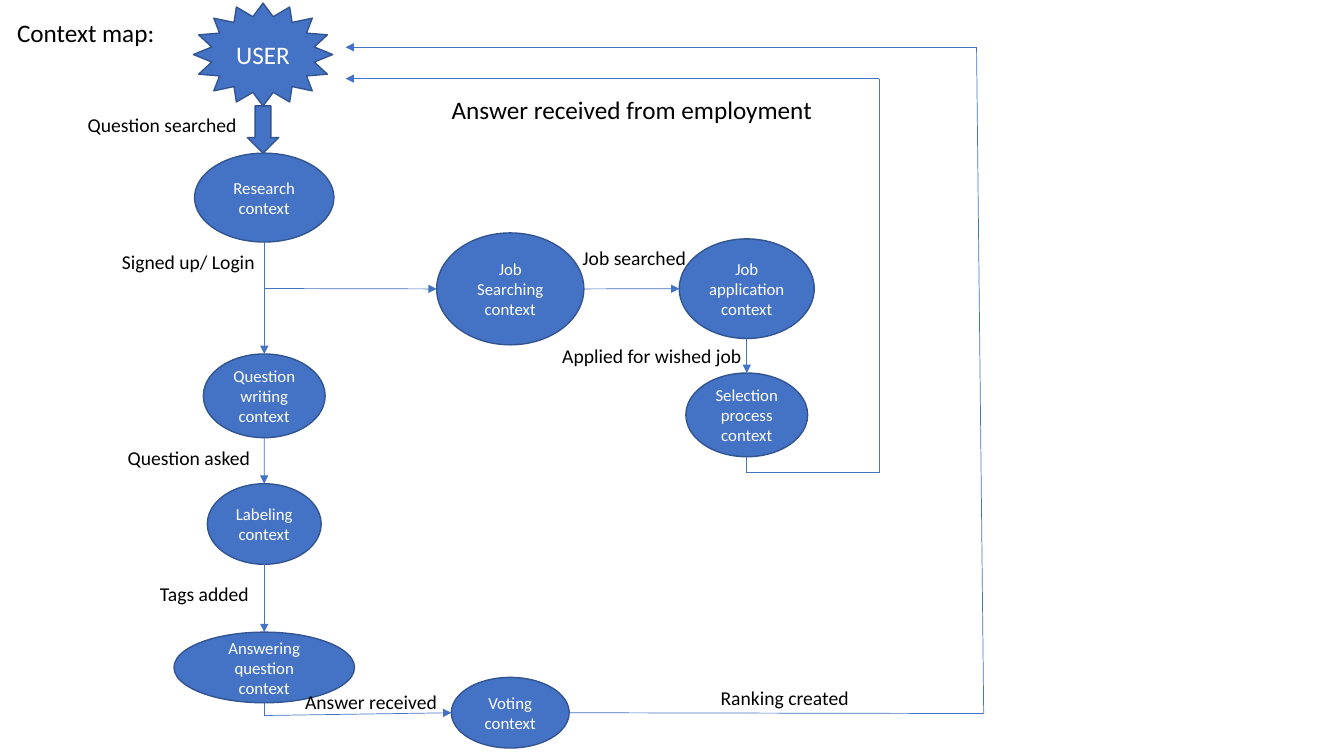
from pptx import Presentation
from pptx.dml.color import RGBColor
from pptx.enum.shapes import MSO_CONNECTOR, MSO_SHAPE
from pptx.enum.text import MSO_ANCHOR, MSO_AUTO_SIZE, PP_ALIGN
from pptx.oxml.ns import qn
from pptx.util import Cm, Pt
from lxml.etree import SubElement

BLUE = RGBColor(0x44, 0x72, 0xC4)
DARK_BLUE = RGBColor(0x32, 0x54, 0x91)
WHITE = RGBColor(0xFF, 0xFF, 0xFF)
BLACK = RGBColor(0x00, 0x00, 0x00)
FONT = "Calibri"

# Content, in centimetres: column centres first
MAIN_X, MIDDLE_X, JOB_X = 6.66, 12.86, 18.82
USER_EDGE = 8.71

# text, centre x, top, width, height
CONTEXTS = {
    "research": ("Research context", MAIN_X, 3.86, 3.51, 2.24),
    "writing": ("Question writing context", MAIN_X, 8.92, 3.07, 2.11),
    "labeling": ("Labeling context", MAIN_X, 12.19, 2.87, 2.03),
    "answering": ("Answering question context", MAIN_X, 15.93, 4.55, 1.78),
    "searching": ("Job Searching context", MIDDLE_X, 5.87, 3.71, 2.82),
    "application": ("Job application context", JOB_X, 6.02, 3.4, 2.51),
    "selection": ("Selection process context", JOB_X, 9.4, 3.07, 2.11),
    "voting": ("Voting context", MIDDLE_X, 17.07, 2.97, 1.78),
}

# Downward arrows between contexts
STEPS = [("research", "writing"), ("writing", "labeling"),
         ("labeling", "answering"), ("application", "selection")]

# Other routes: each stop is a point or a (context, side) pair
ROUTES = [
    [(MAIN_X, 7.27), ("searching", "left")],
    [("searching", "right"), ("application", "left")],
    [("selection", "bottom"), (JOB_X, 11.91), (22.15, 11.91),
     (22.15, 1.98), (USER_EDGE, 1.98)],
    [("answering", "bottom"), (MAIN_X, 18.03), ("voting", "left")],
    [("voting", "right"), (24.79, 17.98), (24.61, 1.19), (USER_EDGE, 1.19)],
]

# text, left, top, width, height, size
LABELS = [
    ("Context map:", 0.18, 0.3, 4.7, 1.02, 18),
    ("Question searched", 1.96, 2.72, 4.7, 0.86, 14),
    ("Signed up/ Login", 2.82, 6.17, 4.7, 0.86, 14),
    ("Question asked", 2.97, 11.1, 5.87, 0.86, 14),
    ("Tags added", 3.78, 14.53, 4.27, 0.86, 14),
    ("Answer received", 7.44, 17.27, 5.13, 0.86, 14),
    ("Ranking created", 17.91, 17.17, 4.27, 0.86, 14),
    ("Job searched", 14.43, 6.07, 4.7, 0.86, 14),
    ("Applied for wished job", 13.92, 8.53, 5.33, 0.86, 14),
    ("Answer received from employment", 11.13, 2.24, 10.13, 1.02, 18),
]

presentation = Presentation()
presentation.slide_width, presentation.slide_height = Cm(33.87), Cm(19.05)
slide = presentation.slides.add_slide(presentation.slide_layouts[6])


def write(paragraph, text, size, color):
    run = paragraph.add_run()
    run.text = text
    run.font.name, run.font.size = FONT, Pt(size)
    run.font.color.rgb = color


def add_blue_shape(kind, center, top, width, height, text="", size=12):
    shape = slide.shapes.add_shape(
        kind, Cm(center - width / 2), Cm(top), Cm(width), Cm(height))
    shape.shadow.inherit = False
    shape.fill.solid()
    shape.fill.fore_color.rgb = BLUE
    shape.line.color.rgb = DARK_BLUE
    shape.line.width = Pt(1)
    if text:
        frame = shape.text_frame
        frame.word_wrap = True
        frame.vertical_anchor = MSO_ANCHOR.MIDDLE
        paragraph = frame.paragraphs[0]
        paragraph.alignment = PP_ALIGN.CENTER
        write(paragraph, text, size, WHITE)
    return shape


def add_line(start, end, arrow):
    line = slide.shapes.add_connector(
        MSO_CONNECTOR.STRAIGHT, *(Cm(value) for value in start + end))
    line.line.color.rgb = BLUE
    line.line.width = Pt(0.5)
    if arrow:
        SubElement(line.line._get_or_add_ln(), qn("a:tailEnd"), type="triangle")
    SubElement(line._element.spPr, qn("a:effectLst"))
    return line


def locate(stop):
    if stop[0] not in CONTEXTS:
        return stop
    name, side = stop
    text, center, top, width, height = CONTEXTS[name]
    return {
        "top": (center, top),
        "bottom": (center, top + height),
        "left": (center - width / 2, top + height / 2),
        "right": (center + width / 2, top + height / 2),
    }[side]


# User and contexts
add_blue_shape(MSO_SHAPE.STAR_16_POINT, 6.63, 0.08, 3.51, 2.59, "USER", 18)
add_blue_shape(MSO_SHAPE.DOWN_ARROW, 6.63, 2.67, 0.79, 1.19)
ellipses = {}
for name, (text, *place) in CONTEXTS.items():
    ellipses[name] = add_blue_shape(MSO_SHAPE.OVAL, *place, text)

# Arrows
for source, target in STEPS:
    line = add_line(locate((source, "bottom")), locate((target, "top")), True)
    line.end_connect(ellipses[target], 0)
for route in ROUTES:
    points = [locate(stop) for stop in route]
    for start, end in zip(points, points[1:]):
        add_line(start, end, end == points[-1])

# Labels
for text, left, top, width, height, size in LABELS:
    box = slide.shapes.add_textbox(Cm(left), Cm(top), Cm(width), Cm(height))
    box.text_frame.word_wrap = True
    box.text_frame.auto_size = MSO_AUTO_SIZE.SHAPE_TO_FIT_TEXT
    write(box.text_frame.paragraphs[0], text, size, BLACK)

presentation.save("out.pptx")
